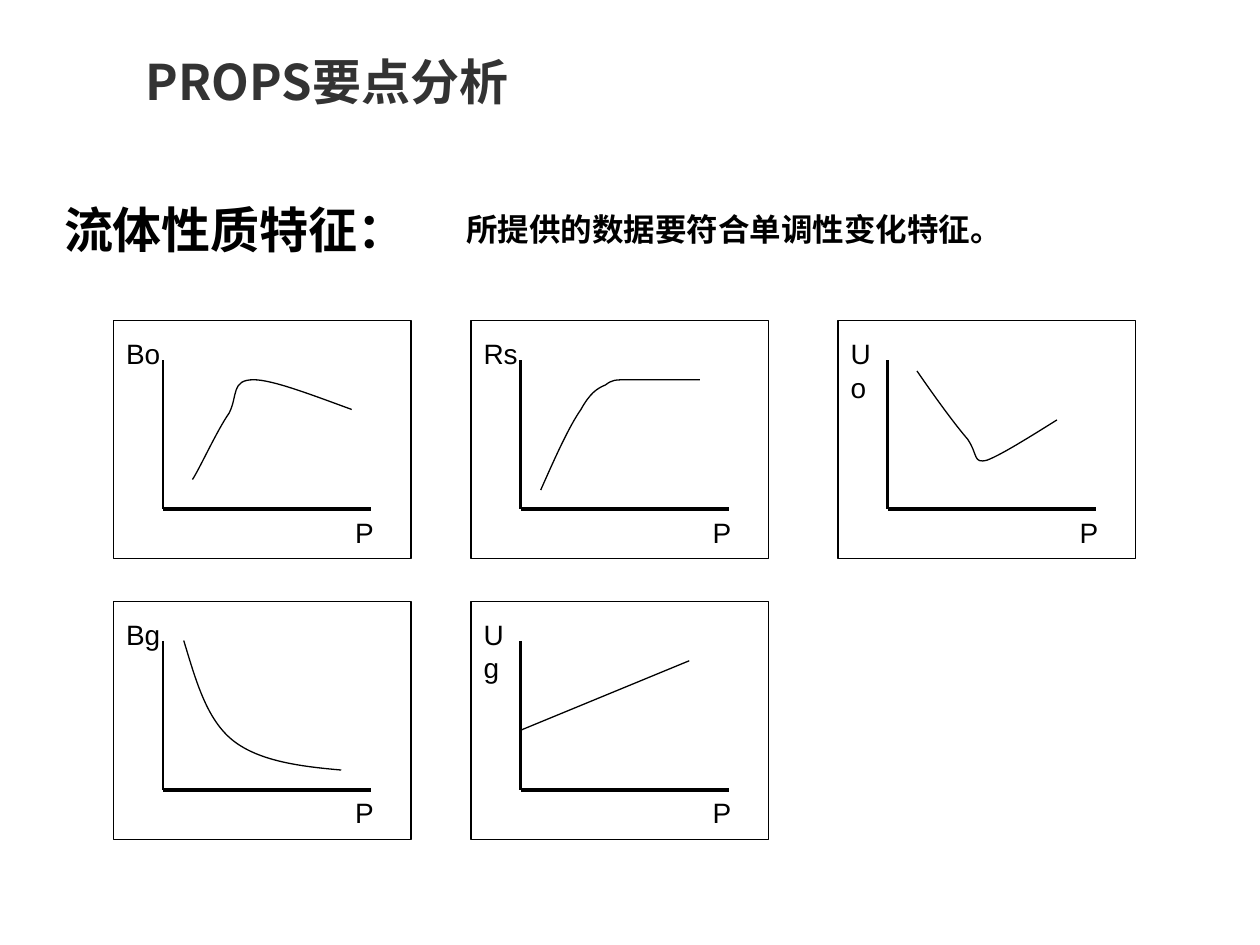
from dataclasses import dataclass

import pptx
import pptx.dml.color
import pptx.enum.shapes
import pptx.enum.text
import pptx.oxml
import pptx.oxml.ns
import pptx.util
from pptx.util import Pt


@dataclass(frozen=True)
class Theme:
    ink: str = "000000"
    title_ink: str = "333333"
    paper: str = "FFFFFF"
    title_font: str = "Noto Sans CJK SC"
    body_font: str = "Arial"
    heading_size: int = 28
    note_size: int = 18
    label_size: int = 16
    thin: float = 0.75
    vertical_axis: float = 1.5
    horizontal_axis: float = 2.25


@dataclass(frozen=True)
class Box:
    left: float
    top: float
    width: float
    height: float


THEME = Theme()
PANEL_WIDTH, PANEL_HEIGHT = 170, 136
COLUMNS = (64.9, 269.2, 478.9)
ROWS = (183.3, 343.6)

# Each panel is a grid of 30 by 24 units; curves are a start point followed by
# three Bezier points per segment, a straight line is its two ends.
GRID_WIDTH = 30
CHARTS = (
    ("Bo", 0, 0, [(8, 16), (8.6, 14.9), (10.5, 11), (11.6, 9.3),
                  (12.6, 7.6), (11.9, 6), (14.1, 6),
                  (16.1, 6), (20.1, 7.6), (24, 9)]),
    ("Bg", 0, 1, [(7, 4), (8.3, 8), (9.4, 11.9), (12, 14),
                  (14.7, 16.2), (18.9, 16.6), (23, 17)]),
    ("Rs", 1, 0, [(7, 17), (8.5, 13.9), (9.9, 10.7), (11, 9),
                  (12, 7.3), (12.6, 6.9), (13.5, 6.4),
                  (14.2, 5.9), (14.4, 6), (16, 6),
                  (17.5, 5.9), (20.3, 6), (23, 6)]),
    ("Uo", 2, 0, [(8, 5), (9.9, 7.8), (11.9, 10.5), (13.1, 12),
                  (14.2, 13.5), (13.6, 14.4), (15.1, 14),
                  (16.5, 13.6), (19.3, 11.8), (22, 10)]),
    ("Ug", 1, 1, [(5, 13), (22, 6)]),
)


def rgb(value):
    return pptx.dml.color.RGBColor.from_string(value)


def add_text(shapes, box, text, size, font=THEME.body_font, color=THEME.ink,
             bold=False, wrap=True):
    shape = shapes.add_textbox(Pt(box.left), Pt(box.top), Pt(box.width), Pt(box.height))
    frame = shape.text_frame
    frame.word_wrap = wrap
    frame.auto_size = pptx.enum.text.MSO_AUTO_SIZE.SHAPE_TO_FIT_TEXT
    paragraph = frame.paragraphs[0]
    paragraph.text = text
    paragraph.font.name = font
    paragraph.font.size = Pt(size)
    paragraph.font.bold = bold
    paragraph.font.color.rgb = rgb(color)


def set_line(shape, width):
    shape.line.color.rgb = rgb(THEME.ink)
    shape.line.width = Pt(width)


def add_line(shapes, start, end, width):
    connector = shapes.add_connector(
        pptx.enum.shapes.MSO_CONNECTOR.STRAIGHT, *map(Pt, (*start, *end)))
    set_line(connector, width)
    connector._element.spPr.append(pptx.oxml.parse_xml(
        f'<a:effectLst {pptx.oxml.ns.nsdecls("a")}/>'))


def add_curve(shapes, points, width):
    builder = shapes.build_freeform(*points[0], scale=float(Pt(1)))
    builder.add_line_segments(points[1:], close=False)
    shape = builder.convert_to_shape()
    shape.shadow.inherit = False
    shape.fill.background()
    set_line(shape, width)
    # Join every three line targets into one cubic segment
    segments = list(shape._element.iter(pptx.oxml.ns.qn("a:lnTo")))
    for first in range(0, len(segments), 3):
        cubic = pptx.oxml.parse_xml(
            f'<a:cubicBezTo {pptx.oxml.ns.nsdecls("a")}/>')
        segments[first].addprevious(cubic)
        for segment in segments[first:first + 3]:
            cubic.append(segment[0])
            segment.getparent().remove(segment)


def add_headings(slide, box):
    add_text(slide.shapes, Box(box.left + 46.8, box.top, 436, 41), "PROPS要点分析",
             THEME.heading_size, THEME.title_font, THEME.title_ink, bold=True)
    add_text(slide.shapes, Box(box.left, box.top + 84.2, 217, 41), "流体性质特征：",
             THEME.heading_size, bold=True)
    add_text(slide.shapes, Box(box.left + 229.7, box.top + 90.7, 320.4, 29),
             "所提供的数据要符合单调性变化特征。",
             THEME.note_size, bold=True, wrap=False)


def add_chart_panel(slide, box, label, points):
    shapes = slide.shapes.add_group_shape().shapes
    unit = box.width / GRID_WIDTH

    def place(x, y):
        return box.left + x * unit, box.top + y * unit

    # Frame
    frame = shapes.add_shape(
        pptx.enum.shapes.MSO_SHAPE.RECTANGLE,
        Pt(box.left), Pt(box.top), Pt(box.width), Pt(box.height))
    frame.shadow.inherit = False
    frame.fill.solid()
    frame.fill.fore_color.rgb = rgb(THEME.paper)
    set_line(frame, THEME.thin)

    # Axes and their labels
    origin = place(5, 19)
    add_line(shapes, place(5, 4), origin, THEME.vertical_axis)
    add_line(shapes, origin, place(26, 19), THEME.horizontal_axis)
    add_text(shapes, Box(*place(0, 1), 34, 26.6), label, THEME.label_size, wrap=False)
    add_text(shapes, Box(*place(23.1, 19), 25.2, 26.6), "P", THEME.label_size, wrap=False)

    # Property against pressure
    placed = [place(*point) for point in points]
    if len(placed) == 2:
        add_line(shapes, *placed, THEME.thin)
    else:
        add_curve(shapes, placed, THEME.thin)


def main():
    presentation = pptx.Presentation()
    presentation.slide_width, presentation.slide_height = Pt(720), Pt(540)
    slide = presentation.slides.add_slide(presentation.slide_layouts[6])
    add_headings(slide, Box(29.5, 26, 550, 126))
    for label, column, row, points in CHARTS:
        box = Box(COLUMNS[column], ROWS[row], PANEL_WIDTH, PANEL_HEIGHT)
        add_chart_panel(slide, box, label, points)
    presentation.save("out.pptx")


if __name__ == "__main__":
    main()
